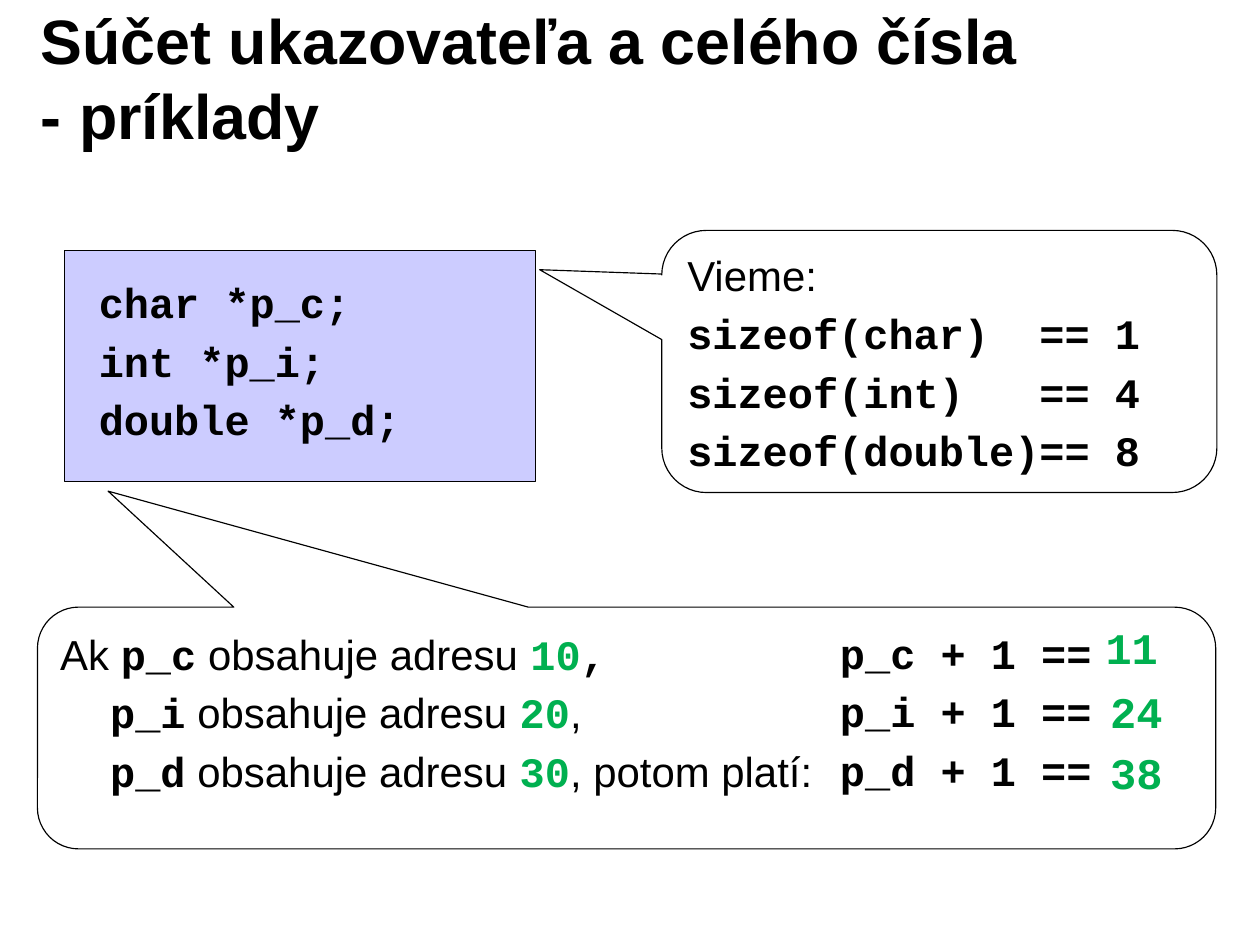
from dataclasses import dataclass, field

from pptx import Presentation
from pptx.dml.color import RGBColor
from pptx.enum.shapes import MSO_SHAPE
from pptx.enum.text import MSO_ANCHOR, MSO_AUTO_SIZE, PP_ALIGN
from pptx.shapes.autoshape import Shape
from pptx.slide import Slide
from pptx.text.text import TextFrame, _Paragraph
from pptx.util import Inches, Pt

COLS, ROWS = 111, 83
CELL = Inches(0.1)
SANS, MONO = "Arial", "Courier New"
BLACK, WHITE, GREEN, LILAC = "000000", "FFFFFF", "00B050", "CCCCFF"
SIZE = 26.6
GAP = 5.1


@dataclass
class Run:
    text: str
    font: str = MONO
    bold: bool = True
    color: str = BLACK
    size: float = SIZE


@dataclass
class Line:
    runs: list[Run]
    indent: float = 0


@dataclass
class Box:
    col: float
    row: float
    cols: float
    rows: float
    lines: list[Line] = field(default_factory=list)
    kind: MSO_SHAPE | None = None
    fill: str = WHITE
    adjust: tuple[float, ...] = ()
    inset: tuple[float, float] = (1.1, 0.6)


def rgb(value: str) -> RGBColor:
    return RGBColor.from_string(value)


def grid(*cells: float) -> list[int]:
    return [round(cell * CELL) for cell in cells]


def code(*texts: str) -> list[Line]:
    return [Line([Run(text)]) for text in texts]


def prose(text: str) -> Run:
    return Run(text, font=SANS, bold=False)


def result(col: float, row: float, text: str) -> Box:
    return Box(col, row, 8, 5.2, [Line([Run(text, color=GREEN, size=27.7)])])


def address(name: str, value: str, end: Run, lead: str = "", indent: float = 0) -> Line:
    start = [prose(lead)] if lead else []
    middle = [Run(name), prose(" obsahuje adresu "), Run(value, color=GREEN)]
    return Line([*start, *middle, end], indent)


def add_run(p: _Paragraph, text: str, *, font: str, bold: bool, color: str, size: float) -> None:
    r = p.add_run()
    r.text = text
    r.font.name = font
    r.font.bold = bold
    r.font.size = Pt(size)
    r.font.color.rgb = rgb(color)


def set_frame(tf: TextFrame, left: float, top: float) -> None:
    tf.word_wrap = True
    tf.auto_size = MSO_AUTO_SIZE.NONE
    tf.margin_left, tf.margin_top = grid(left, top)
    tf.margin_right, tf.margin_bottom = grid(1.1, 0.6)


def write(tf: TextFrame, box: Box) -> None:
    set_frame(tf, *box.inset)
    tf.vertical_anchor = MSO_ANCHOR.TOP
    for i, line in enumerate(box.lines):
        p = tf.add_paragraph() if i else tf.paragraphs[0]
        p.alignment = PP_ALIGN.LEFT
        p.space_before = Pt(GAP if i else 0)
        if line.indent:
            p._p.get_or_add_pPr().set("marL", str(grid(line.indent)[0]))
        for run in line.runs:
            add_run(p, run.text, font=run.font, bold=run.bold, color=run.color, size=run.size)


def draw(s: Slide, box: Box) -> Shape:
    place = grid(box.col, box.row, box.cols, box.rows)
    if box.kind is None:
        sp = s.shapes.add_textbox(*place)
    else:
        sp = s.shapes.add_shape(box.kind, *place)
        sp.shadow.inherit = False
        sp.fill.solid()
        sp.fill.fore_color.rgb = rgb(box.fill)
        sp.line.color.rgb = rgb(BLACK)
        sp.line.width = Pt(0.75)
        for i, value in enumerate(box.adjust):
            sp.adjustments[i] = value
    if box.lines:
        write(sp.text_frame, box)
    return sp


def add_title(s: Slide, text: str) -> None:
    sp = s.shapes.title
    sp.left, sp.top, sp.width, sp.height = grid(2.5, 1.7, 89.2, 10.2)
    tf = sp.text_frame
    set_frame(tf, 1.1, 0.6)
    tf.vertical_anchor = MSO_ANCHOR.MIDDLE
    p = tf.paragraphs[0]
    p.alignment = PP_ALIGN.LEFT
    add_run(p, text, font=SANS, bold=True, color=BLACK, size=39.8)


CALLOUT = MSO_SHAPE.ROUNDED_RECTANGULAR_CALLOUT

BOXES = [
    Box(5.7, 22.1, 41.5, 20.3, code("char *p_c;", "int *p_i;", "double *p_d;"),
        MSO_SHAPE.RECTANGLE, LILAC, inset=(3, 2.3)),
    Box(3.3, 53.5, 103.8, 21.3, kind=CALLOUT, adjust=(-0.44, -0.98, 0.17)),
    Box(72.9, 54.7, 25, 15.4, code("p_c + 1 ==", "p_i + 1 ==", "p_d + 1 ==")),
    result(96.3, 54.1, "11"),
    result(96.7, 59.7, "24"),
    result(96.7, 65.1, "38"),
    Box(4.2, 54.8, 69.5, 16.6, [
        address("p_c", "10", Run(","), lead="Ak "),
        address("p_i", "20", prose(","), indent=4.4),
        address("p_d", "30", prose(", potom platí:"), indent=4.4),
    ]),
    Box(58.3, 20.3, 48.9, 23.1, [
        Line([prose("Vieme:")]),
        *code("sizeof(char)  == 1", "sizeof(int)   == 4", "sizeof(double)== 8"),
    ], CALLOUT, adjust=(-0.72, -0.35, 0.17), inset=(1.1, 0.55)),
]


def main() -> None:
    prs = Presentation()
    prs.slide_width, prs.slide_height = grid(COLS, ROWS)
    s = prs.slides.add_slide(prs.slide_layouts[5])
    add_title(s, "Súčet ukazovateľa a celého čísla - príklady")
    for box in BOXES:
        draw(s, box)
    prs.save("out.pptx")


if __name__ == "__main__":
    main()
